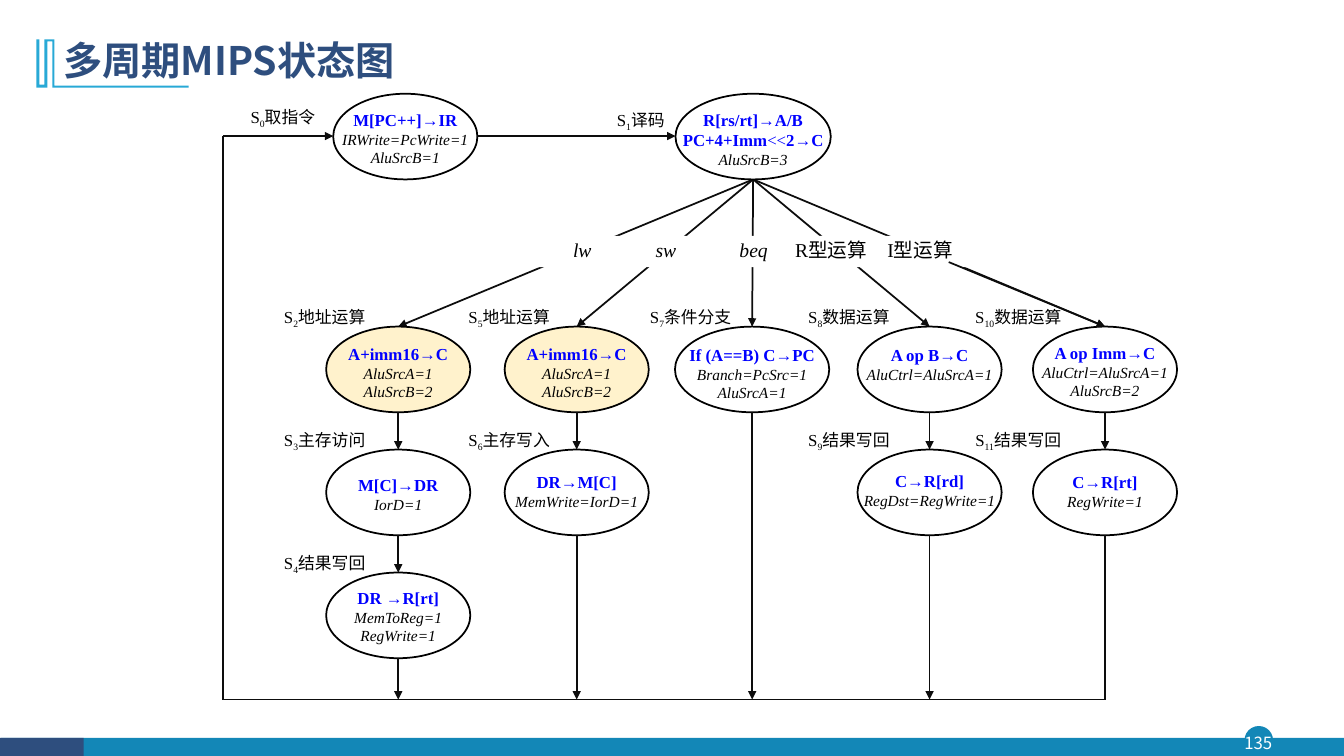
from lxml import etree
from pptx import Presentation
from pptx.dml.color import RGBColor
from pptx.enum.shapes import MSO_CONNECTOR, MSO_SHAPE
from pptx.enum.text import MSO_ANCHOR, PP_ALIGN
from pptx.oxml.ns import qn
from pptx.util import Inches, Pt

OVAL, RECT = MSO_SHAPE.OVAL, MSO_SHAPE.RECTANGLE
STRAIGHT = MSO_CONNECTOR.STRAIGHT
TOP, MIDDLE = MSO_ANCHOR.TOP, MSO_ANCHOR.MIDDLE
LEFT, CENTER = PP_ALIGN.LEFT, PP_ALIGN.CENTER

# Content
TITLE = "多周期MIPS状态图"
PAGE = "135"
# Top states: centre x, oval width, text top offset, text width, lines
FETCH = (4.02, 1.43, 0.11, 1.62, ["M[PC++]→IR", "IRWrite=PcWrite=1", "AluSrcB=1"])
DECODE = (7.47, 1.54, 0.11, 1.62,
          ["R[rs/rt]→A/B", "PC+4+Imm|<<|2→C", "AluSrcB=3"])
TOP_STEPS = [(2.35, 1.01, 0.91, "0", "取指令"), (5.9, 1.04, 0.91, "1", "译码")]
# Branches: centre x, oval width, step label left, states from top to bottom
# States: step number, step name, text top offset, text width, lines
BRANCHES = [
    (3.95, 1.43, 2.63, [
        ("2", "地址运算", 0.12, 1.43, ["A+imm16→C", "AluSrcA=1", "AluSrcB=2"]),
        ("3", "主存访问", 0.2, 1.43, ["M[C]→DR", "IorD=1"]),
        ("4", "结果写回", 0.1, 1.43, ["DR →R[rt]", "MemToReg=1", "RegWrite=1"])]),
    (5.72, 1.43, 4.46, [
        ("5", "地址运算", 0.12, 1.43, ["A+imm16→C", "AluSrcA=1", "AluSrcB=2"]),
        ("6", "主存写入", 0.17, 1.46, ["DR→M[C]", "MemWrite=IorD=1"])]),
    (7.46, 1.53, 6.26, [
        ("7", "条件分支", 0.13, 1.6,
         ["If (A==B) C→PC", "Branch=PcSrc=1", "AluSrcA=1"])]),
    (9.22, 1.43, 7.83, [
        ("8", "数据运算", 0.13, 1.67, ["A op B→C", "AluCtrl=AluSrcA=1"]),
        ("9", "结果写回", 0.16, 1.67, ["C→R[rd]", "RegDst=RegWrite=1"])]),
    (10.96, 1.43, 9.51, [
        ("10", "数据运算", 0.11, 1.6,
         ["A op Imm→C", "AluCtrl=AluSrcA=1", "AluSrcB=2"]),
        ("11", "结果写回", 0.17, 1.43, ["C→R[rt]", "RegWrite=1"])]),
]
# Instruction labels: left, width, runs
INSTRUCTIONS = [
    (5.43, 0.69, [("lw", "instr")]), (6.26, 0.69, [("sw", "instr")]),
    (7.13, 0.69, [("beq", "instr")]),
    (7.71, 1.07, [("R", "kind"), ("型运算", "kind_cjk")]),
    (8.59, 1.07, [("I", "kind"), ("型运算", "kind_cjk")]),
]
TITLE_MARK = [(0.54, 0.39), (0.54, 0.85), (1.87, 0.85), (1.87, 0.87), (0.52, 0.87),
              (0.52, 0.41), (0.47, 0.41), (0.47, 0.87), (0.36, 0.87), (0.36, 0.39),
              (0.39, 0.39), (0.39, 0.84), (0.44, 0.84), (0.44, 0.39)]

# Theme
SANS, SERIF = "Noto Sans CJK SC", "Times New Roman"
THEME = {
    "teal": "1387B7", "navy": "2E4E7E", "sky": "28A9D6", "white": "FFFFFF",
    "address": "FFF2CC", "outline": "000000", "arrow": "0D0D0D",
    "title": dict(name=SANS, size=28, color="2E4E7E", bold=True),
    "page": dict(name=SANS, size=12, color="FFFFFF"),
    "action": dict(name=SERIF, size=12, color="0000FF", bold=True),
    "shift": dict(name=SERIF, size=12, color="0000FF"),
    "signal": dict(name=SERIF, size=11, color="000000", italic=True),
    "instr": dict(name=SERIF, size=14, color="000000", italic=True),
    "kind": dict(name=SERIF, size=14, color="000000"),
    "kind_cjk": dict(name=SANS, size=14, color="000000"),
    "step": dict(name=SERIF, size=12, color="000000"),
    "step_sub": dict(name=SERIF, size=12, color="000000"),
    "step_cjk": dict(name=SANS, size=12, color="000000"),
}

# Layout
TOP_ROW, FIRST_ROW, ROW_STEP, OVAL_H = 0.93, 3.24, 1.22, 0.85
BUS_X, BUS_Y, TOP_Y = 2.21, 6.94, 1.35

prs = Presentation()
prs.slide_width, prs.slide_height = Inches(13.33), Inches(7.5)
s = prs.slides.add_slide(prs.slide_layouts[6])


def paint(sp, fill, line=None, width=1.25):
    sp.shadow.inherit = False
    sp.fill.solid()
    sp.fill.fore_color.rgb = RGBColor.from_string(THEME[fill])
    if line:
        sp.line.color.rgb = RGBColor.from_string(THEME[line])
        sp.line.width = Pt(width)
    else:
        sp.line.fill.background()


def shape(kind, x, y, w, h, *look):
    paint(s.shapes.add_shape(kind, *map(Inches, (x, y, w, h))), *look)


def text(x, y, w, h, paragraphs, align=CENTER, anchor=TOP, inset=None, spacing=None):
    tf = s.shapes.add_textbox(*map(Inches, (x, y, w, h))).text_frame
    tf.word_wrap, tf.vertical_anchor = True, anchor
    if inset is not None:
        for side in ("left", "top", "right", "bottom"):
            setattr(tf, "margin_" + side, Inches(inset))
    for i, runs in enumerate(paragraphs):
        p = tf.add_paragraph() if i else tf.paragraphs[0]
        p.alignment = align
        if spacing:
            p.line_spacing = spacing
        for words, style in runs:
            r = p.add_run()
            r.text = words
            for key, value in THEME[style].items():
                if key == "color":
                    r.font.color.rgb = RGBColor.from_string(value)
                else:
                    setattr(r.font, key, Pt(value) if key == "size" else value)
            rPr = r.font._element
            etree.SubElement(rPr, qn("a:ea")).set("typeface", THEME[style]["name"])
            if style == "step_sub":
                rPr.set("baseline", "-25000")


def line(x1, y1, x2, y2, arrow=True, width=1.25):
    c = s.shapes.add_connector(STRAIGHT, *map(Inches, (x1, y1, x2, y2)))
    c.line.color.rgb = RGBColor.from_string(THEME["arrow"])
    c.line.width = Pt(width)
    if arrow:
        etree.SubElement(c.line._get_or_add_ln(), qn("a:tailEnd")).set("type", "triangle")
    etree.SubElement(c._element.spPr, qn("a:effectLst"))


def state(cx, y, w, dy, text_w, lines, fill="white"):
    shape(OVAL, cx - w / 2, y, w, OVAL_H, fill, "outline")
    paragraphs = []
    for words in lines:
        style = "action" if "→" in words else "signal"
        paragraphs.append([(part, "shift" if part == "<<" else style)
                           for part in words.split("|")])
    text(cx - text_w / 2, y + dy, text_w, 0.12 + 0.18 * len(lines), paragraphs)


def step_label(x, y, w, number, name):
    text(x, y, w, 0.3, [[("S", "step"), (number, "step_sub"), (name, "step_cjk")]])


# Footer and title
shape(OVAL, 12.35, 7.21, 0.27, 0.27, "teal", "teal", 1)
shape(RECT, 0.01, 7.32, 13.32, 0.19, "teal")
shape(RECT, 0, 7.32, 0.83, 0.19, "navy")
text(12.32, 7.21, 0.32, 0.31, [[(PAGE, "page")]], anchor=MIDDLE, inset=0)
fb = s.shapes.build_freeform(*map(Inches, TITLE_MARK[0]), scale=1.0)
fb.add_line_segments([(Inches(x), Inches(y)) for x, y in TITLE_MARK[1:]], close=True)
paint(fb.convert_to_shape(), "sky")
text(0.53, 0.28, 11.5, 0.68, [[(TITLE, "title")]], LEFT, MIDDLE, spacing=0.9)

# Fan from decode to the branches
for cx, *_ in BRANCHES:
    line(DECODE[0], TOP_ROW + OVAL_H, cx, FIRST_ROW)

# Top states
for cx, w, dy, text_w, lines in (FETCH, DECODE):
    state(cx, TOP_ROW, w, dy, text_w, lines)
line(FETCH[0] + FETCH[1] / 2, TOP_Y, DECODE[0] - DECODE[1] / 2, TOP_Y, width=1.5)

# Branch states, each followed by the arrow below it
for cx, w, label_x, states in BRANCHES:
    for row, (number, name, dy, text_w, lines) in enumerate(states):
        y = FIRST_ROW + row * ROW_STEP
        last = row == len(states) - 1
        state(cx, y, w, dy, text_w, lines,
              "address" if lines[0].startswith("A+imm16") else "white")
        line(cx, y + OVAL_H, cx, BUS_Y if last else y + ROW_STEP,
             arrow=not (last and cx == BRANCHES[-1][0]))

# Return path to fetch
line(BRANCHES[-1][0], BUS_Y, BUS_X, BUS_Y, arrow=False)
line(BUS_X, BUS_Y, BUS_X, TOP_Y, arrow=False)
line(BUS_X, TOP_Y, FETCH[0] - FETCH[1] / 2, TOP_Y)

# Instruction labels on a white band
shape(RECT, 5.21, 2.34, 4.53, 0.31, "white")
for x, w, runs in INSTRUCTIONS:
    text(x, 2.31, w, 0.34, [runs])
line(9.41, 2.6, BRANCHES[-1][0], FIRST_ROW)

# Step labels
for label in TOP_STEPS:
    step_label(*label)
for _, _, label_x, states in BRANCHES:
    for row, (number, name, *_) in enumerate(states):
        step_label(label_x, FIRST_ROW - 0.25 + row * ROW_STEP, 1.18, number, name)

prs.save("out.pptx")
